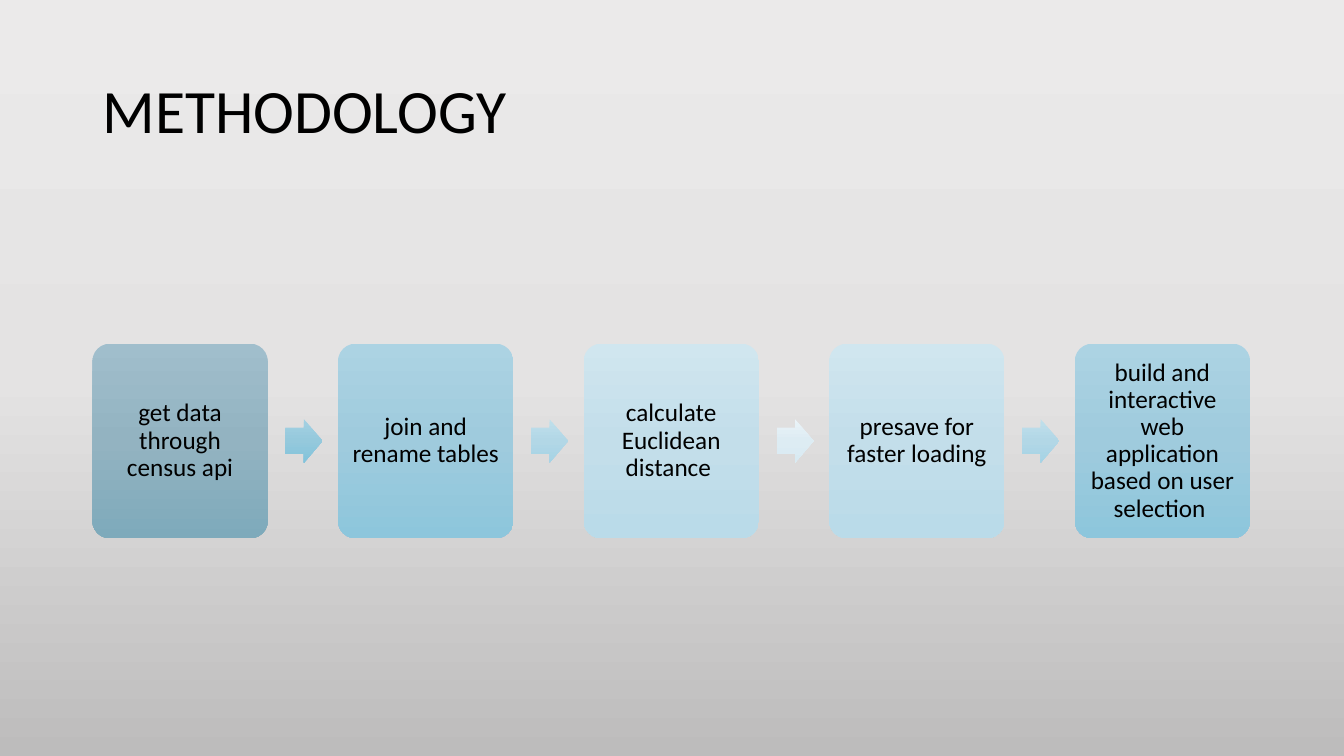
from copy import deepcopy
from pptx import Presentation
from pptx import util as u
from pptx.dml.color import RGBColor
from pptx.enum import shapes, text
from pptx.oxml.ns import qn

LEFT, TOP = 66, 245.5
BOX_W, BOX_H = 125.3, 139
PITCH = 1.4 * BOX_W
ARROW_W, ARROW_H = 26.6, 31

BACK = ("EBEAEA", "E4E3E3", "BDBCBC")
GREY = ("A0BECC", "93B3C1", "7EAABB")
BLUE = ("ACD3E3", "9FCBDD", "8DC6DC")
PALE = ("D0E6EF", "C3DEEA", "BADBE9")
DEEP_TIP = ("A3D0E2", "95C9DC", "81C3DB")
SOFT_TIP = ("BFDFEB", "B2D7E6", "A5D3E5")
FAINT_TIP = ("EAF3F8", "DDECF3", "D8EAF2")

# Label, box colours, colours of the arrow that follows
STEPS = [
    ("get data through census api", GREY, DEEP_TIP),
    ("join and rename tables ", BLUE, SOFT_TIP),
    ("calculate Euclidean distance ", PALE, FAINT_TIP),
    ("presave for faster loading", PALE, SOFT_TIP),
    ("build and interactive web application based on user selection ",
     BLUE, None),
]


def color(code):
    return RGBColor.from_string(code)


def shade(fill, root, codes):
    """Fill from top to bottom with three evenly spaced colours."""
    fill.gradient()
    stops = next(root.iter(qn("a:gsLst")))
    stops.append(deepcopy(stops[0]))
    for i, (stop, code) in enumerate(zip(fill.gradient_stops, codes)):
        stop.color.rgb = color(code)
        stop.position = i / 2
    fill.gradient_angle = 270


def write(frame, words, size, align):
    frame.text = words
    frame.word_wrap = True
    frame.auto_size = text.MSO_AUTO_SIZE.NONE
    frame.vertical_anchor = text.MSO_ANCHOR.MIDDLE
    para = frame.paragraphs[0]
    para.alignment = align
    para.line_spacing = 0.9
    font = para.runs[0].font
    font.name, font.size = "Calibri", u.Pt(size)
    font.color.rgb = color("000000")


def place(shape, left, top, width, height):
    shape.left, shape.top = u.Pt(left), u.Pt(top)
    shape.width, shape.height = u.Pt(width), u.Pt(height)


def add_form(slide, kind, area, adjust, codes):
    shape = slide.shapes.add_shape(kind, *map(u.Pt, area))
    for i, value in enumerate(adjust):
        shape.adjustments[i] = value
    shape.shadow.inherit = False
    shape.line.fill.background()
    shade(shape.fill, shape._element, codes)
    return shape


def add_box(slide, left, words, codes):
    box = add_form(slide, shapes.MSO_SHAPE.ROUNDED_RECTANGLE,
                   (left, TOP, BOX_W, BOX_H), [0.1], codes)
    frame = box.text_frame
    frame.margin_left = frame.margin_right = u.Pt(5)
    frame.margin_top = frame.margin_bottom = u.Pt(5)
    write(frame, words, 18, text.PP_ALIGN.CENTER)


def add_arrow(slide, left, codes):
    top = TOP + (BOX_H - ARROW_H) / 2
    add_form(slide, shapes.MSO_SHAPE.RIGHT_ARROW,
             (left, top, ARROW_W, ARROW_H), [0.6, 0.5], codes)


def main():
    deck = Presentation()
    deck.slide_width, deck.slide_height = u.Pt(960), u.Pt(540)
    slide = deck.slides.add_slide(deck.slide_layouts[5])
    shade(slide.background.fill, slide._element, BACK)

    # Title
    title = slide.shapes.title
    place(title, LEFT, 28.8, 828, 104.4)
    write(title.text_frame, "METHODOLOGY", 44, text.PP_ALIGN.LEFT)

    # Process steps
    for i, (words, codes, tip) in enumerate(STEPS):
        left = LEFT + i * PITCH
        add_box(slide, left, words, codes)
        if tip:
            add_arrow(slide, left + 1.1 * BOX_W, tip)

    deck.save("out.pptx")


main()
